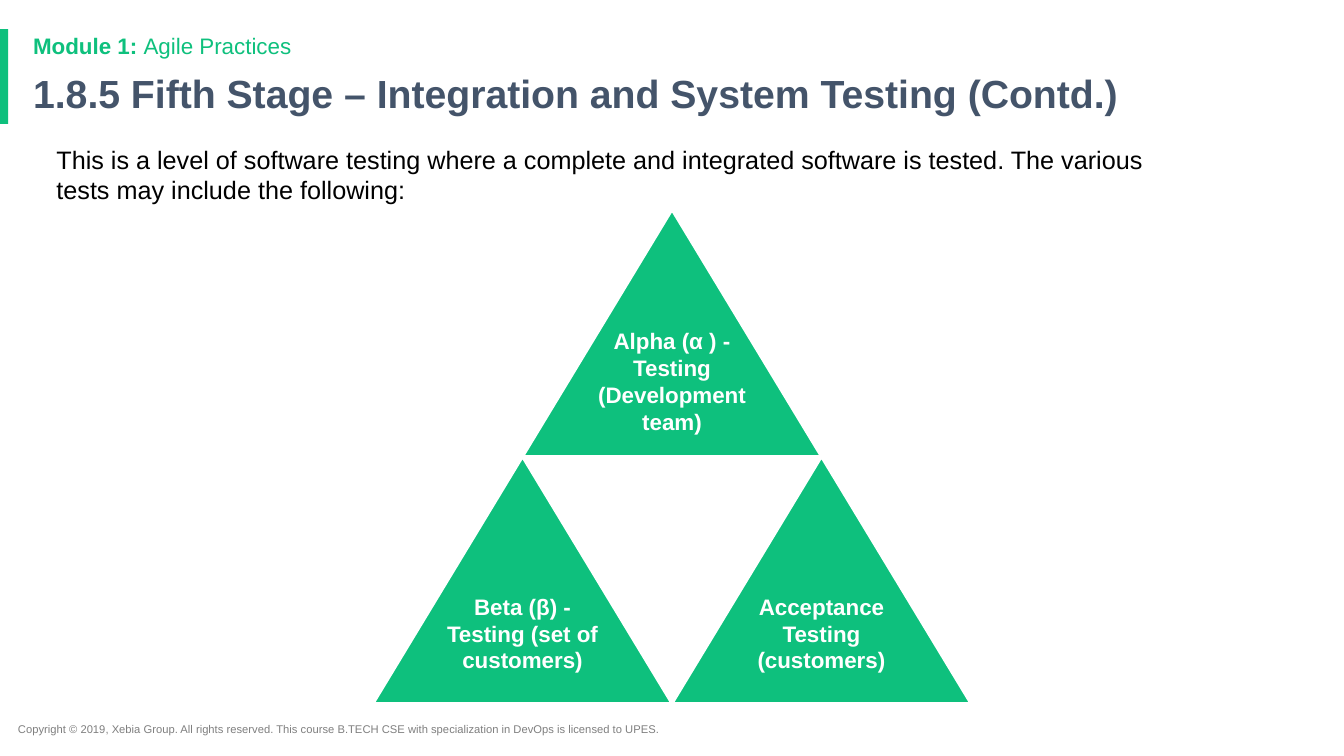
from pptx import Presentation
from pptx.dml.color import RGBColor
from pptx.enum.shapes import MSO_SHAPE
from pptx.enum.text import MSO_ANCHOR, PP_ALIGN
from pptx.util import Inches, Pt

RECT = MSO_SHAPE.RECTANGLE
TOP, MIDDLE = MSO_ANCHOR.TOP, MSO_ANCHOR.MIDDLE
LEFT, CENTER = PP_ALIGN.LEFT, PP_ALIGN.CENTER

FONT = "Arial"
COLORS = {
    "green": "0EC07D",
    "slate": "44546A",
    "gray": "7F7F7F",
    "black": "000000",
    "white": "FFFFFF",
}
INSETS = (0.1, 0.05, 0.1, 0.05)


def rgb(name):
    return RGBColor.from_string(COLORS[name])


def write_text(sp, runs, size, color, insets=INSETS, anchor=TOP, align=LEFT, spacing=1.0):
    """Fill a shape with one paragraph; runs are (text, bold) pairs."""
    tf = sp.text_frame
    tf.word_wrap = True
    tf.vertical_anchor = anchor
    tf.margin_left, tf.margin_top, tf.margin_right, tf.margin_bottom = map(Inches, insets)
    p = tf.paragraphs[0]
    p.alignment = align
    p.line_spacing = spacing
    for text, bold in runs:
        r = p.add_run()
        r.text = text
        r.font.name = FONT
        r.font.size = Pt(size)
        r.font.bold = bold
        r.font.color.rgb = rgb(color)


def add_text(s, box, runs, size, color, **layout):
    sp = s.shapes.add_textbox(*map(Inches, box))
    write_text(sp, runs, size, color, **layout)


def add_header(s, left, top, width, height):
    # Accent bar, module line and title
    bar = s.shapes.add_shape(RECT, Inches(left), Inches(top), Inches(0.08), Inches(height))
    bar.shadow.inherit = False
    bar.fill.solid()
    bar.fill.fore_color.rgb = rgb("green")
    bar.line.fill.background()
    text_left = left + 0.23
    add_text(s, (text_left, top + 0.01, width, 0.33),
             [("Module 1: ", True), ("Agile Practices", False)], 16, "green", spacing=0.9)
    add_text(s, (text_left, top + 0.4, width, 0.54),
             [("1.8.5 Fifth Stage – Integration and System Testing (Contd.)", True)],
             28, "slate", spacing=0.9)


def add_triangle(s, left, top, width, height, fill, inverted=False):
    base, apex = (top, top + height) if inverted else (top + height, top)
    corners = [(left, base), (left + width / 2, apex), (left + width, base)]
    points = [(Inches(x), Inches(y)) for x, y in corners]
    builder = s.shapes.build_freeform(*points[0], scale=1.0)
    builder.add_line_segments(points[1:], close=True)
    sp = builder.convert_to_shape()
    sp.shadow.inherit = False
    sp.fill.solid()
    sp.fill.fore_color.rgb = rgb(fill)
    sp.line.color.rgb = rgb("white")
    sp.line.width = Pt(2)
    return sp


def add_pyramid(s, left, top, width, height):
    w, h = width / 2, height / 2
    # Inverted gap in the middle
    gap = 2.45
    add_triangle(s, left + w - gap / 2, top + h, gap, h, "white", inverted=True)
    # One triangle on top, two below
    tests = [
        ("Alpha (α ) - Testing (Development team)", w / 2, 0, 1),
        ("Beta (β) - Testing (set of customers)", 0, h, 1.1),
        ("Acceptance Testing (customers)", w, h, 1.1),
    ]
    for text, dx, dy, inset_top in tests:
        sp = add_triangle(s, left + dx, top + dy, w, h, "green")
        write_text(sp, [(text, True)], 16, "white", insets=(0.67, inset_top, 0.67, 0.05),
                   anchor=MIDDLE, align=CENTER)


def main():
    prs = Presentation()
    prs.slide_width, prs.slide_height = Inches(13.33), Inches(7.5)
    s = prs.slides.add_slide(prs.slide_layouts[6])

    add_header(s, 0, 0.29, 11.5, 0.94)
    # Introduction
    add_text(s, (0.56, 1.43, 11.24, 0.65),
             [("This is a level of software testing where a complete and integrated software "
               "is tested. The various tests may include the following:", False)],
             18, "black", insets=(0, 0, 0.1, 0.05))
    add_pyramid(s, 3.7, 2.08, 5.93, 4.9)
    # Footer
    add_text(s, (0.08, 7.12, 7.13, 0.24),
             [("Copyright © 2019, Xebia Group. All rights reserved. This course B.TECH CSE "
               "with specialization in DevOps is licensed to UPES.", False)], 8, "gray")
    prs.save("out.pptx")


if __name__ == "__main__":
    main()
